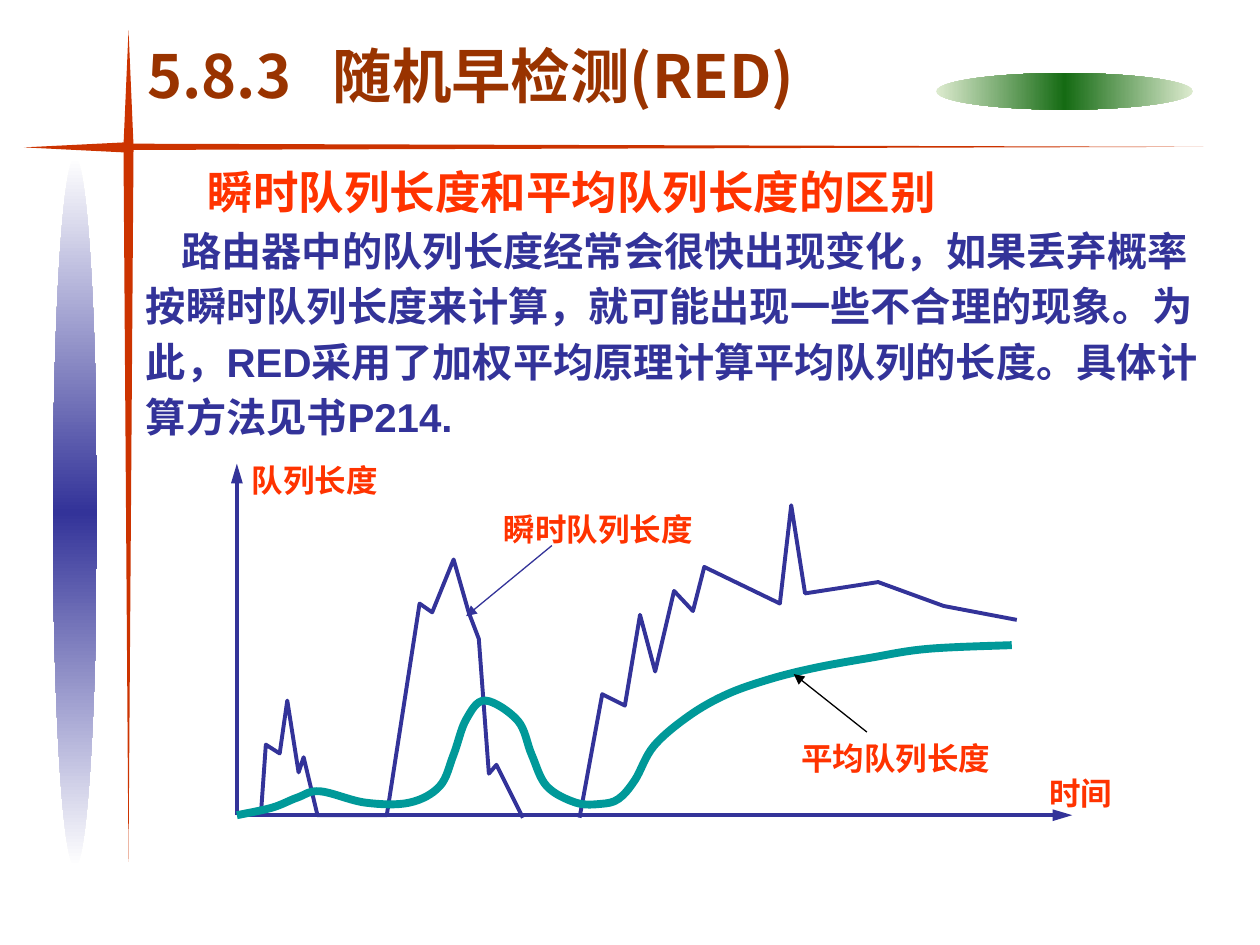
import copy

import pptx
import pptx.dml.color
import pptx.enum.shapes
import pptx.enum.text
import pptx.oxml
import pptx.oxml.ns
import pptx.util
from pptx.util import Inches

NAVY, RED, ORANGE, TEAL = "333399", "CC3300", "FF3300", "009999"
CHINESE_FONT = "Noto Sans CJK SC"
NAMESPACE = pptx.oxml.ns.nsdecls("a")
SHAPES = pptx.enum.shapes.MSO_SHAPE

# Cross of thin wedges: left, top, width, height, rotation
WEDGES = [
    (0.98, 1.16, 0.08, 5.68, 0),
    (5.24, -3.12, 0.05, 8.57, 270),
    (0.55, 0.77, 0.08, 0.8, 90),
    (0.98, 0.24, 0.08, 0.92, 180),
]
# Ovals: left, top, width, height, edge colour, middle colour, angle
OVALS = [
    (7.43, 0.58, 2.04, 0.29, "DDEBCF", "156B13", 0),
    (0.42, 1.25, 0.35, 5.63, "FFFFFF", NAVY, 90),
]
# Body paragraphs: text, first-line indent, format
BODY = [
    ("瞬时队列长度和平均队列长度的区别", 0.49,
     {"size": 26, "name": CHINESE_FONT, "color": ORANGE}),
    ("路由器中的队列长度经常会很快出现变化，如果丢弃概率按瞬时队列长度来计算，"
     "就可能出现一些不合理的现象。为此，RED采用了加权平均原理计算平均队列的长度。"
     "具体计算方法见书P214.", 0.28,
     {"size": 23, "name": "Arial", "color": NAVY}),
]
# Chart labels: text, left, top, width
LABELS = [
    ("队列长度", 1.9, 3.61, 1.2),
    ("时间", 8.23, 6.09, 0.7),
    ("瞬时队列长度", 3.9, 4, 1.7),
    ("平均队列长度", 6.26, 5.82, 1.7),
]
# Arrows: from, to, colour, width, head length
AXES = [
    ((1.88, 6.47), (8.51, 6.47), NAVY, 2.25, "lg"),
    ((1.88, 6.47), (1.88, 3.68), NAVY, 2.25, "lg"),
]
POINTERS = [
    ((4.38, 4.33), (3.7, 4.89), NAVY, 0.75, "med"),
    ((6.88, 5.81), (6.3, 5.35), "000000", 0.75, "med"),
]
INSTANT_LENGTHS = [
    [(2.07, 6.47), (2.11, 5.91), (2.22, 5.98), (2.28, 5.56), (2.37, 6.13),
     (2.41, 6.01), (2.52, 6.47), (3.07, 6.47), (3.33, 4.79), (3.43, 4.86),
     (3.6, 4.44), (3.72, 4.86), (3.8, 5.07), (3.88, 6.14), (3.94, 6.07),
     (4.15, 6.49)],
    [(4.6, 6.49), (4.78, 5.51), (4.96, 5.6), (5.08, 4.88), (5.2, 5.33),
     (5.35, 4.69), (5.5, 4.85), (5.59, 4.5), (6.19, 4.79), (6.28, 4.01),
     (6.39, 4.71), (6.97, 4.62), (7.49, 4.81), (8.07, 4.92)],
]
AVERAGE_LENGTH = [
    (1.88, 6.47), (2.16, 6.41), (2.36, 6.33), (2.54, 6.28), (2.9, 6.37),
    (3.25, 6.37), (3.49, 6.24), (3.6, 5.99), (3.7, 5.71), (3.85, 5.56),
    (4.11, 5.72), (4.22, 5.99), (4.34, 6.24), (4.57, 6.37), (4.77, 6.38),
    (4.91, 6.34), (5.04, 6.19), (5.19, 5.92), (5.47, 5.68), (5.77, 5.51),
    (6.11, 5.39), (6.47, 5.3), (6.91, 5.22), (7.36, 5.15), (8.03, 5.12),
]


def color(value):
    return pptx.dml.color.RGBColor.from_string(value)


def add_run(paragraph, text, style):
    run = paragraph.add_run()
    run.text = text
    values = {"size": pptx.util.Pt(style["size"]), "name": style["name"], "bold": True}
    for name, value in values.items():
        setattr(run.font, name, value)
    run.font.color.rgb = color(style["color"])
    run.font._element.find(pptx.oxml.ns.qn("a:latin")).addnext(
        pptx.oxml.parse_xml(f'<a:ea {NAMESPACE} typeface="{CHINESE_FONT}"/>'))


def format_frame(frame, wrap):
    values = {
        "word_wrap": wrap,
        "auto_size": pptx.enum.text.MSO_AUTO_SIZE.NONE,
        "vertical_anchor": pptx.enum.text.MSO_ANCHOR.TOP,
    }
    for name, value in values.items():
        setattr(frame, name, value)


def set_title(slide):
    title = slide.shapes.title
    places = {"left": 1.07, "top": 0.26, "width": 5.94, "height": 0.67}
    for name, value in places.items():
        setattr(title, name, Inches(value))
    format_frame(title.text_frame, True)
    paragraph = title.text_frame.paragraphs[0]
    paragraph.alignment = pptx.enum.text.PP_ALIGN.LEFT
    paragraph._p.get_or_add_pPr().append(pptx.oxml.parse_xml(
        f'<a:tabLst {NAMESPACE}><a:tab pos="{Inches(1.47)}" algn="l"/></a:tabLst>'))
    add_run(paragraph, "5.8.3\t随机早检测(RED)",
            {"size": 34, "name": CHINESE_FONT, "color": "993300"})


def add_body(slide):
    box = slide.shapes.add_textbox(Inches(1.06), Inches(1.19), Inches(8.59), Inches(2.36))
    frame = box.text_frame
    format_frame(frame, True)
    for index, (text, indent, style) in enumerate(BODY):
        paragraph = frame.add_paragraph() if index else frame.paragraphs[0]
        paragraph.line_spacing = 1.15
        paragraph._p.get_or_add_pPr().set("indent", str(Inches(indent)))
        add_run(paragraph, text, style)


def add_label(slide, text, left, top, width):
    box = slide.shapes.add_textbox(Inches(left), Inches(top), Inches(width), Inches(0.4))
    format_frame(box.text_frame, False)
    add_run(box.text_frame.paragraphs[0], text,
            {"size": 18, "name": "Times New Roman", "color": ORANGE})


def add_plain_shape(slide, kind, *place):
    shape = slide.shapes.add_shape(kind, *map(Inches, place))
    shape.shadow.inherit = False
    shape.line.fill.background()
    return shape


def add_oval(slide, left, top, width, height, edge, middle, angle):
    shape = add_plain_shape(slide, SHAPES.OVAL, left, top, width, height)
    shape.fill.gradient()
    shape.fill.gradient_angle = angle
    for stop in shape.fill.gradient_stops:
        stop.color.rgb = color(edge)
    stops = shape._element.spPr.find(".//" + pptx.oxml.ns.qn("a:gsLst"))
    stops.insert(1, copy.deepcopy(stops[0]))
    middle_stop = shape.fill.gradient_stops[1]
    middle_stop.position = 0.5
    middle_stop.color.rgb = color(middle)


def add_wedge(slide, left, top, width, height, rotation):
    shape = add_plain_shape(slide, SHAPES.FLOWCHART_MERGE, left, top, width, height)
    shape.rotation = rotation
    shape.fill.solid()
    shape.fill.fore_color.rgb = color(RED)


def format_line(line, line_color, width):
    line.color.rgb = color(line_color)
    line.width = pptx.util.Pt(width)


def add_arrow(slide, start, end, line_color, width, head_length):
    arrow = slide.shapes.add_connector(
        pptx.enum.shapes.MSO_CONNECTOR.STRAIGHT, *map(Inches, start + end))
    format_line(arrow.line, line_color, width)
    arrow.line._get_or_add_ln().append(pptx.oxml.parse_xml(
        f'<a:tailEnd {NAMESPACE} type="triangle" w="med" len="{head_length}"/>'))
    arrow._element.spPr.append(pptx.oxml.parse_xml(f"<a:effectLst {NAMESPACE}/>"))


def add_curve(slide, points, line_color, width):
    points = [(Inches(x), Inches(y)) for x, y in points]
    builder = slide.shapes.build_freeform(*points[0])
    builder.add_line_segments(points[1:], close=False)
    curve = builder.convert_to_shape()
    curve.shadow.inherit = False
    curve.fill.background()
    format_line(curve.line, line_color, width)
    return curve


def smooth(curve):
    """Turn the straight segments into Bezier segments through the same points."""
    outline = curve._element.spPr.find(".//" + pptx.oxml.ns.qn("a:path"))
    knots = [(int(segment[0].get("x")), int(segment[0].get("y"))) for segment in outline]
    padded = [knots[0], *knots, knots[-1]]
    windows = zip(padded, padded[1:], padded[2:], padded[3:])
    for segment, (before, start, end, after) in zip(list(outline)[1:], windows):
        first = [round(s + (e - b) / 6) for b, s, e in zip(before, start, end)]
        second = [round(e - (a - s) / 6) for s, e, a in zip(start, end, after)]
        marks = "".join(f'<a:pt x="{x}" y="{y}"/>' for x, y in (first, second, end))
        outline.replace(segment, pptx.oxml.parse_xml(
            f"<a:cubicBezTo {NAMESPACE}>{marks}</a:cubicBezTo>"))


def main():
    presentation = pptx.Presentation()
    presentation.slide_width, presentation.slide_height = Inches(10), Inches(7.5)
    slide = presentation.slides.add_slide(presentation.slide_layouts[5])

    # Decoration and text
    for oval in OVALS:
        add_oval(slide, *oval)
    for wedge in WEDGES:
        add_wedge(slide, *wedge)
    set_title(slide)
    add_body(slide)

    # Queue length diagram
    for axis in AXES:
        add_arrow(slide, *axis)
    for points in INSTANT_LENGTHS:
        add_curve(slide, points, NAVY, 2.25)
    smooth(add_curve(slide, AVERAGE_LENGTH, TEAL, 4.5))
    for label in LABELS:
        add_label(slide, *label)
    for pointer in POINTERS:
        add_arrow(slide, *pointer)

    presentation.save("out.pptx")


if __name__ == "__main__":
    main()
